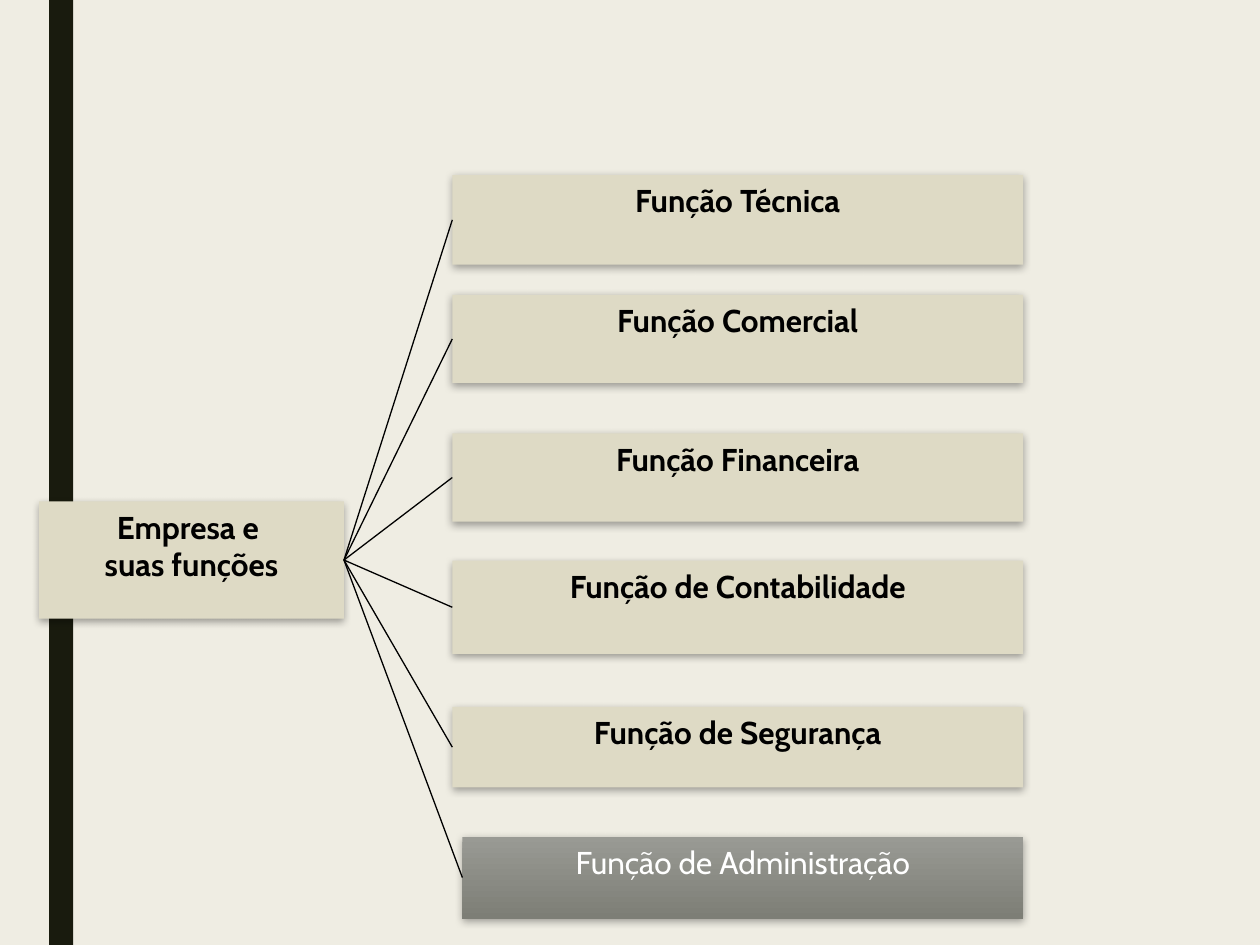
from lxml.etree import SubElement
from pptx import Presentation
from pptx.dml.color import RGBColor
from pptx.enum.shapes import MSO_CONNECTOR, MSO_SHAPE
from pptx.enum.text import MSO_ANCHOR, PP_ALIGN
from pptx.oxml.ns import qn
from pptx.util import Inches, Pt

CREAM = RGBColor(0xEF, 0xED, 0xE3)
SAND = RGBColor(0xDE, 0xDA, 0xC5)
DARK = RGBColor(0x19, 0x1B, 0x0E)
BLACK = RGBColor(0, 0, 0)
WHITE = RGBColor(0xFF, 0xFF, 0xFF)
GREY_TOP = RGBColor(0x99, 0x9A, 0x94)
GREY_BOTTOM = RGBColor(0x7D, 0x7E, 0x76)

# Content: the company and its functions (label, top, height)
COMPANY = ["Empresa e ", "suas funções"]
FUNCTIONS = [
    ("Função Técnica", 1.39, 0.71),
    ("Função Comercial", 2.34, 0.7),
    ("Função Financeira", 3.44, 0.7),
    ("Função de Contabilidade", 4.45, 0.74),
    ("Função de Segurança", 5.61, 0.64),
]
HIGHLIGHT = ("Função de Administração", 6.64, 0.65)
LEFT, HIGHLIGHT_LEFT, RIGHT = 3.59, 3.67, 8.12
TOP_SIDE_LEFT, TOP_SIDE_RIGHT = 1, 3


def add_block(page, left, top, width, height, color):
    block = page.shapes.add_shape(
        MSO_SHAPE.RECTANGLE, *map(Inches, (left, top, width, height)))
    block.fill.solid()
    block.fill.fore_color.rgb = color
    block.line.fill.background()
    block.shadow.inherit = False
    return block


def add_shadow(box):
    effects = box._element.spPr.find(qn("a:effectLst"))
    shadow = SubElement(effects, qn("a:outerShdw"), blurRad=str(Pt(4.5)),
                        dist=str(Pt(1.5)), dir="5400000", rotWithShape="0")
    color = SubElement(shadow, qn("a:srgbClr"), val=str(BLACK))
    SubElement(color, qn("a:alpha"), val="35000")


def add_box(page, lines, left, top, width, height, color=BLACK, bold=True):
    box = add_block(page, left, top, width, height, SAND)
    add_shadow(box)
    frame = box.text_frame
    frame.word_wrap = False
    frame.vertical_anchor = MSO_ANCHOR.TOP
    for index, line in enumerate(lines):
        para = frame.add_paragraph() if index else frame.paragraphs[0]
        para.alignment = PP_ALIGN.CENTER
        span = para.add_run()
        span.text = line
        span.font.color.rgb = color
        for name, value in {"name": "Cabin", "size": Pt(18), "bold": bold}.items():
            setattr(span.font, name, value)
    return box


def join(page, start, end):
    line = page.shapes.add_connector(MSO_CONNECTOR.STRAIGHT, 0, 0, 0, 0)
    line.begin_connect(start, TOP_SIDE_RIGHT)
    line.end_connect(end, TOP_SIDE_LEFT)
    line.line.color.rgb = BLACK
    line.line.width = Pt(0.75)
    SubElement(line._element.spPr, qn("a:effectLst"))


def main():
    deck = Presentation()
    deck.slide_width, deck.slide_height = Inches(10), Inches(7.5)
    page = deck.slides.add_slide(deck.slide_layouts[6])
    page.background.fill.solid()
    page.background.fill.fore_color.rgb = CREAM

    # Side band
    add_block(page, 0.39, 0, 0.19, 7.5, DARK)

    # Company and function boxes
    company = add_box(page, COMPANY, 0.31, 3.98, 2.42, 0.93)
    boxes = [add_box(page, [label], LEFT, top, RIGHT - LEFT, height)
             for label, top, height in FUNCTIONS]

    # Highlighted function
    label, top, height = HIGHLIGHT
    admin = add_box(page, [label], HIGHLIGHT_LEFT, top, RIGHT - HIGHLIGHT_LEFT,
                    height, WHITE, False)
    admin.fill.gradient()
    admin.fill.gradient_angle = 270
    for stop, color in zip(admin.fill.gradient_stops, (GREY_TOP, GREY_BOTTOM)):
        stop.color.rgb = color

    # Lines from the company to every function
    for box in boxes + [admin]:
        join(page, company, box)

    deck.save("out.pptx")


if __name__ == "__main__":
    main()
